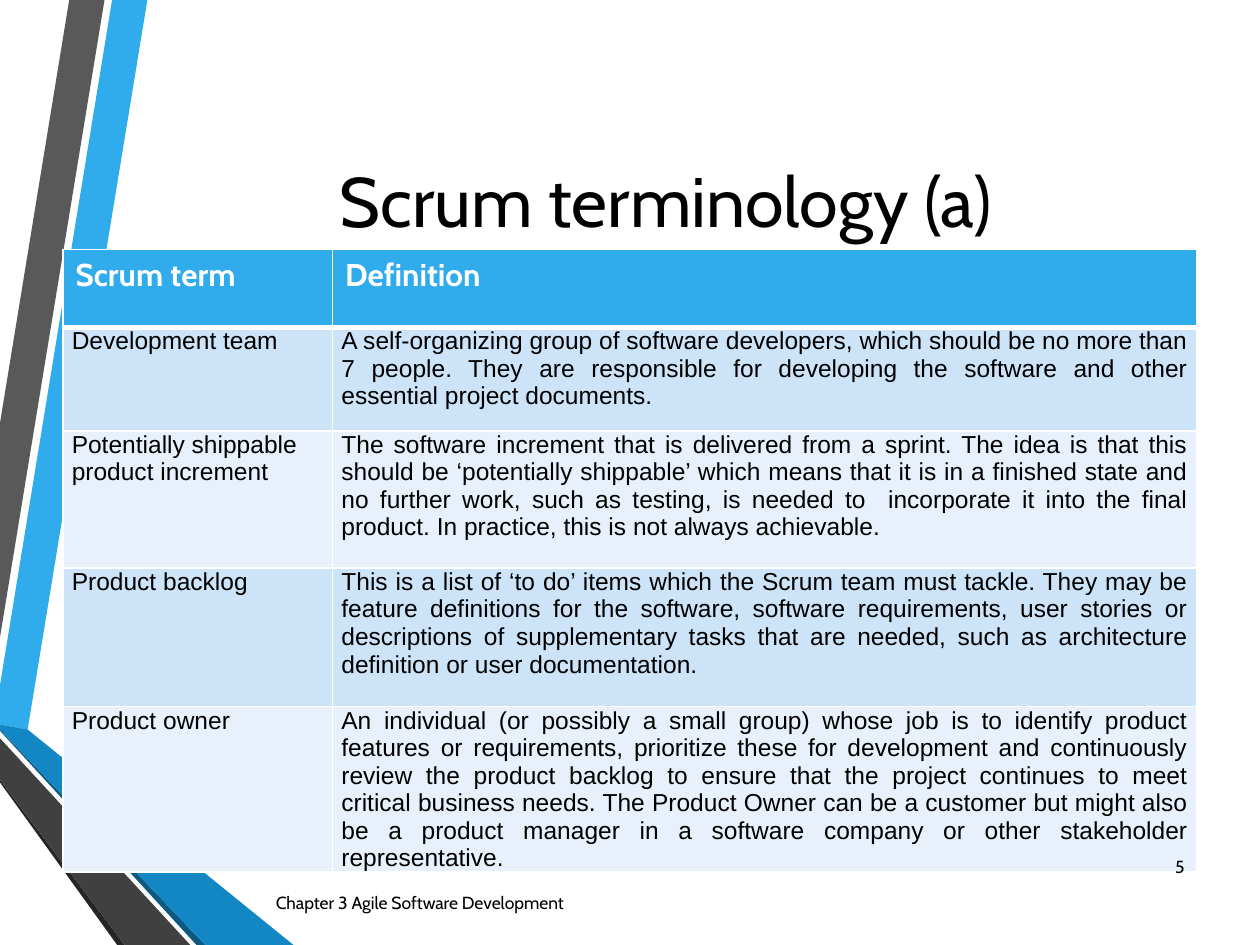
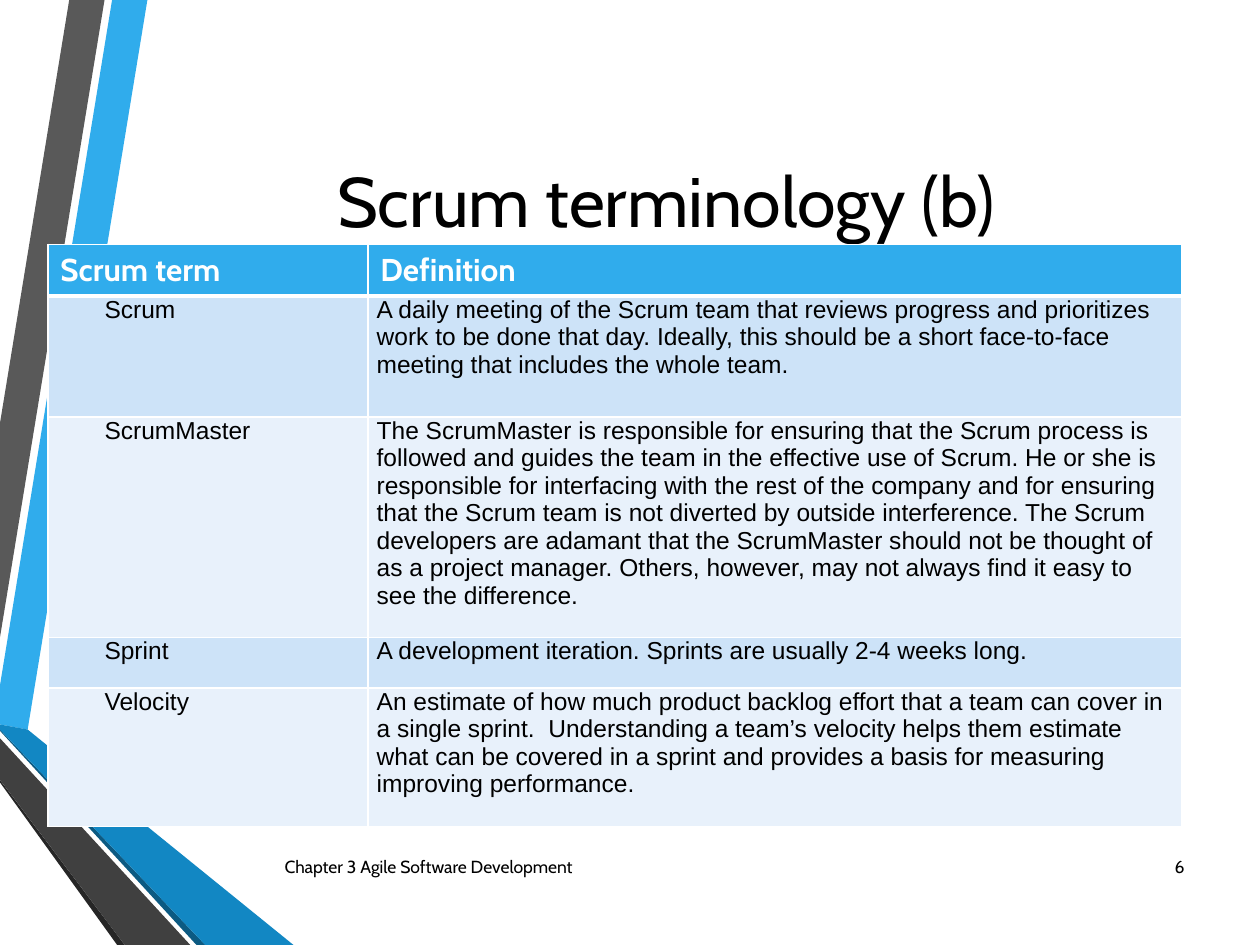
from lxml import etree
from pptx import Presentation
from pptx.dml.color import RGBColor
from pptx.enum.text import MSO_ANCHOR, PP_ALIGN
from pptx.oxml.ns import qn
from pptx.util import Inches, Pt

LEFT, CENTER, RIGHT, JUSTIFY = PP_ALIGN.LEFT, PP_ALIGN.CENTER, PP_ALIGN.RIGHT, PP_ALIGN.JUSTIFY
TOP, MIDDLE = MSO_ANCHOR.TOP, MSO_ANCHOR.MIDDLE

SKY = RGBColor(0x30, 0xAC, 0xEC)
BLUE = RGBColor(0x12, 0x87, 0xC3)
NAVY = RGBColor(0x0C, 0x5A, 0x82)
GREY = RGBColor(0x59, 0x59, 0x59)
CHARCOAL = RGBColor(0x40, 0x40, 0x40)
SOOT = RGBColor(0x26, 0x26, 0x26)
BLACK = RGBColor(0x00, 0x00, 0x00)
WHITE = RGBColor(0xFF, 0xFF, 0xFF)
ROW_TINTS = (RGBColor(0xCD, 0xE3, 0xF8), RGBColor(0xE8, 0xF1, 0xFB))

HEAD_FONT, BODY_FONT = "Cabin", "Arial"
TABLE_WIDTH = 9
FOOTER = "Chapter 3 Agile Software Development"
HEADER = ("Scrum term", "Definition")

# Corners of the ribbons at the left edge, on a grid of hundredths of an inch
GRID = Inches(0.01)
RIBBONS = [
    (SKY, [(0, 544), (0, 575), (22, 579), (117, 0), (89, 0)]),
    (GREY, [(83, 0), (55, 0), (0, 336), (0, 506)]),
    (SOOT, [(0, 619), (0, 621), (93, 750), (99, 750)]),
    (NAVY, [(0, 579), (0, 580), (156, 750), (163, 750)]),
    (BLUE, [(0, 579), (163, 750), (233, 750), (22, 579), (0, 575)]),
    (CHARCOAL, [(0, 619), (99, 750), (151, 750), (0, 586)]),
]

SLIDES = [
    dict(
        title="Scrum terminology (a)", number="5",
        table_at=(0.5, 1.98), term_width=2.14, heights=(0.62, 0.82, 1.09, 1.1, 1.31),
        align=JUSTIFY, indent=0, footer_at=(2.09, 6.96),
        terms=[
            ("Development team",
             "A self-organizing group of software developers, which should be no more than 7 people. "
             "They are responsible for developing the software and other essential project documents."),
            ("Potentially shippable product increment",
             "The software increment that is delivered from a sprint. The idea is that this should be "
             "‘potentially shippable’ which means that it is in a finished state and no further work, "
             "such as testing, is needed to  incorporate it into the final product. In practice, this "
             "is not always achievable."),
            ("Product backlog",
             "This is a list of ‘to do’ items which the Scrum team must tackle. They may be feature "
             "definitions for the software, software requirements, user stories or descriptions of "
             "supplementary tasks that are needed, such as architecture definition or user "
             "documentation."),
            ("Product owner",
             "An individual (or possibly a small group) whose job is to identify product features or "
             "requirements, prioritize these for development and continuously review the product "
             "backlog to ensure that the project continues to meet critical business needs. The "
             "Product Owner can be a customer but might also be a product manager in a software "
             "company or other stakeholder representative."),
        ],
    ),
    dict(
        title="Scrum terminology (b)", number="6",
        table_at=(0.38, 1.94), term_width=2.54, heights=(0.41, 0.96, 1.75, 0.4, 1.1),
        align=LEFT, indent=0.38, footer_at=(2.16, 6.68),
        terms=[
            ("Scrum",
             "A daily meeting of the Scrum team that reviews progress and prioritizes work to be done "
             "that day. Ideally, this should be a short face-to-face meeting that includes the whole "
             "team."),
            ("ScrumMaster",
             "The ScrumMaster is responsible for ensuring that the Scrum process is followed and "
             "guides the team in the effective use of Scrum. He or she is responsible for interfacing "
             "with the rest of the company and for ensuring that the Scrum team is not diverted by "
             "outside interference. The Scrum developers are adamant that the ScrumMaster should not "
             "be thought of as a project manager. Others, however, may not always find it easy to see "
             "the difference."),
            ("Sprint", "A development iteration. Sprints are usually 2-4 weeks long."),
            ("Velocity",
             "An estimate of how much product backlog effort that a team can cover in a single "
             "sprint.  Understanding a team’s velocity helps them estimate what can be covered in a "
             "sprint and provides a basis for measuring improving performance."),
        ],
    ),
]


def write(tf, text, size=10, font=HEAD_FONT, color=BLACK, bold=False, align=LEFT,
          anchor=MIDDLE, indent=0):
    tf.word_wrap = True
    tf.vertical_anchor = anchor
    p = tf.paragraphs[0]
    p.alignment = align
    if indent:
        pPr = p._p.get_or_add_pPr()
        pPr.set("marL", "0")
        pPr.set("indent", str(Inches(indent)))
    r = p.add_run()
    r.text = text
    r.font.size, r.font.name, r.font.bold = Pt(size), font, bold
    r.font.color.rgb = color


def paint_cell(cell, color, bottom=1, top=1):
    """Fill a cell and give it white borders, with top and bottom widths in points."""
    cell.fill.solid()
    cell.fill.fore_color.rgb = color
    tcPr = cell._tc.get_or_add_tcPr()
    for i, (side, width) in enumerate((("L", 1), ("R", 1), ("T", top), ("B", bottom))):
        ln = etree.Element(qn(f"a:ln{side}"), w=str(Pt(width)))
        fill = etree.SubElement(ln, qn("a:solidFill"))
        etree.SubElement(fill, qn("a:srgbClr"), val=str(WHITE))
        tcPr.insert(i, ln)


prs = Presentation()
prs.slide_width, prs.slide_height = Inches(10), Inches(7.5)
layout = prs.slide_layouts.get_by_name("Title Only")
layout_tree = layout.shapes._spTree

for n, content in enumerate(SLIDES):
    s = prs.slides.add_slide(layout)

    # The ribbons are drawn once and moved to the layout, behind its placeholders
    if n == 0:
        for i, (color, corners) in enumerate(RIBBONS):
            outline = s.shapes.build_freeform(*corners[0], scale=GRID)
            outline.add_line_segments(corners[1:], close=True)
            sp = outline.convert_to_shape()
            sp.name = f"Ribbon {i + 1}"
            sp.shadow.inherit = False
            sp.fill.solid()
            sp.fill.fore_color.rgb = color
            sp.line.fill.background()
            layout_tree.insert(2 + i, sp._element)

    title = s.shapes.title
    title.left, title.top = Inches(1.07), Inches(0.5)
    title.width, title.height = Inches(8.43), Inches(2.17)
    write(title.text_frame, content["title"], size=40, align=CENTER)

    x, y = content["table_at"]
    heights = content["heights"]
    frame = s.shapes.add_table(len(heights), len(HEADER), Inches(x), Inches(y),
                               Inches(TABLE_WIDTH), Inches(sum(heights)))
    table = frame.table
    table.columns[0].width = Inches(content["term_width"])
    table.columns[1].width = Inches(TABLE_WIDTH - content["term_width"])
    for row, height in zip(table.rows, heights):
        row.height = Inches(height)

    for cell, text in zip(table.rows[0].cells, HEADER):
        write(cell.text_frame, text, size=18, color=WHITE, bold=True, anchor=TOP)
        paint_cell(cell, SKY, bottom=3)
    for i, texts in enumerate(content["terms"]):
        formats = (dict(indent=content["indent"]), dict(align=content["align"]))
        for cell, text, fmt in zip(table.rows[i + 1].cells, texts, formats):
            cell.margin_left = cell.margin_right = Inches(0.07)
            cell.margin_top = cell.margin_bottom = 0
            write(cell.text_frame, text, size=14, font=BODY_FONT, anchor=TOP, **fmt)
            paint_cell(cell, ROW_TINTS[i % 2], top=3 if i == 0 else 1)

    x, y = content["footer_at"]
    footer = s.shapes.add_textbox(Inches(x), Inches(y), Inches(5.81), Inches(0.4))
    write(footer.text_frame, FOOTER)
    number = s.shapes.add_textbox(Inches(9.03), Inches(6.68), Inches(0.47), Inches(0.4))
    write(number.text_frame, content["number"], align=RIGHT)

prs.save("out.pptx")
